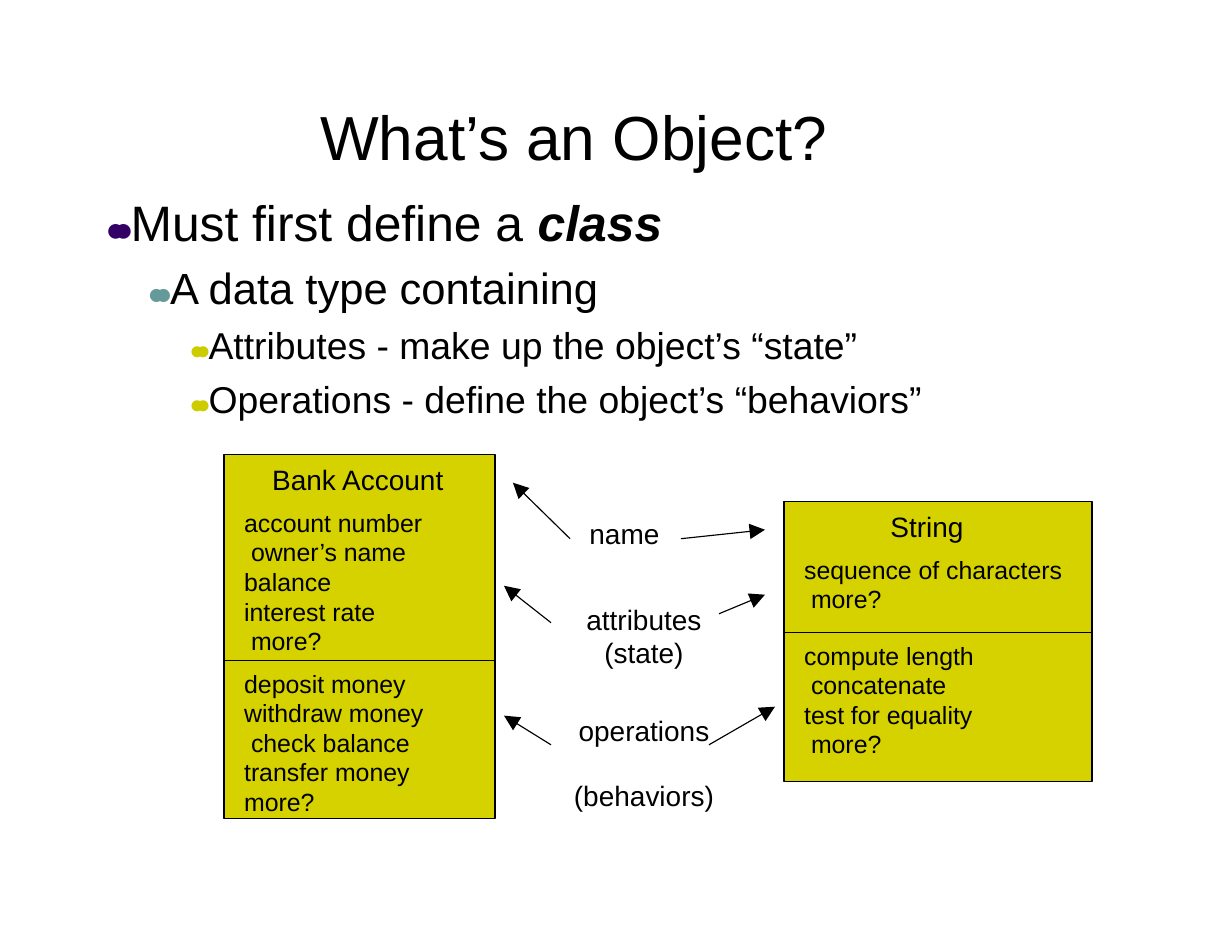
from dataclasses import dataclass

from lxml.etree import SubElement
from pptx import Presentation
from pptx.dml.color import RGBColor
from pptx.enum.shapes import MSO_CONNECTOR as Connector, MSO_SHAPE as Shape
from pptx.enum.text import MSO_ANCHOR as Anchor, PP_ALIGN as Align
from pptx.oxml.ns import qn
from pptx.util import Inches, Pt


@dataclass(frozen=True)
class Theme:
    """Colours, font and type sizes of the slide."""
    font: str = "Arial"
    ink: RGBColor = RGBColor(0, 0, 0)
    box_fill: RGBColor = RGBColor(0xD5, 0xD2, 0x00)
    bullet_colors: tuple = (RGBColor(0x33, 0x00, 0x66), RGBColor(0x66, 0x99, 0x99),
                            RGBColor(0xCC, 0xCC, 0x00))
    bullet_sizes: tuple = (22, 19.5, 16.5)
    bullet_spacing: tuple = (-820, -720, -600)
    body_sizes: tuple = (32, 28, 24)
    title: int = 40
    heading: int = 18
    member: int = 16
    line: float = 0.75


THEME = Theme()


def set_font(font, size, color=THEME.ink):
    """Apply the theme font with a size and colour."""
    font.name = THEME.font
    font.size = Pt(size)
    font.color.rgb = color


def set_indent(paragraph, indent):
    """Set the left indent of a paragraph."""
    properties = paragraph._p.get_or_add_pPr()
    properties.set("marL", str(Inches(indent)))
    properties.set("indent", "0")


def prepare_frame(frame, top_inset=0, wrap=True):
    """Anchor text at the top with no side insets."""
    frame.margin_left = frame.margin_right = frame.margin_bottom = 0
    frame.margin_top = Inches(top_inset)
    frame.vertical_anchor = Anchor.TOP
    frame.word_wrap = wrap
    return frame


def add_text_frame(slide, box, top_inset=0):
    """Add a text box and return its text frame."""
    shape = slide.shapes.add_textbox(*map(Inches, box))
    return prepare_frame(shape.text_frame, top_inset)


def add_line(slide, start, end, arrow=False):
    """Draw a thin line, with an arrowhead at its end if asked."""
    connector = slide.shapes.add_connector(
        Connector.STRAIGHT, *map(Inches, (*start, *end)))
    connector.line.color.rgb = THEME.ink
    connector.line.width = Pt(THEME.line)
    properties = connector._element.spPr
    if arrow:
        SubElement(properties.find(qn("a:ln")), qn("a:tailEnd"),
                   type="triangle", w="lg", len="lg")
    SubElement(properties, qn("a:effectLst"))


def add_title(slide, box, text):
    """Place and format the title placeholder."""
    title = slide.shapes.title
    title.left, title.top, title.width, title.height = map(Inches, box)
    frame = prepare_frame(title.text_frame, wrap=False)
    paragraph = frame.paragraphs[0]
    paragraph.text = text
    paragraph.alignment = Align.LEFT
    set_font(paragraph.font, THEME.title)


def add_outline(slide, box, items):
    """Write the outline with its double-dot markers."""
    frame = add_text_frame(slide, box, top_inset=0.1)
    for index, (level, text, emphasis) in enumerate(items):
        paragraph = frame.paragraphs[0] if index == 0 else frame.add_paragraph()
        set_indent(paragraph, 0.24 + 0.375 * level)
        if index:
            paragraph.space_before = Pt(6)
        marker = paragraph.add_run()
        marker.text = "●● "
        set_font(marker.font, THEME.bullet_sizes[level], THEME.bullet_colors[level])
        marker._r.get_or_add_rPr().set("spc", str(THEME.bullet_spacing[level]))
        for part, strong in ((text, False), (emphasis, True)):
            if part:
                run = paragraph.add_run()
                run.text = part
                set_font(run.font, THEME.body_sizes[level])
                run.font.bold = run.font.italic = strong


def write_members(paragraph, members):
    """Write class members on lines of one paragraph."""
    paragraph.text = "\v".join(members)
    paragraph.alignment = Align.LEFT
    paragraph.line_spacing = Pt(19)
    set_indent(paragraph, 0.18)
    set_font(paragraph.font, THEME.member)


def add_class_box(slide, box, divider, name, name_indent, attributes, operations):
    """Draw a class with its name, attributes and operations."""
    left, top, width, height = box
    shape = slide.shapes.add_shape(Shape.RECTANGLE, *map(Inches, box))
    shape.shadow.inherit = False
    shape.fill.solid()
    shape.fill.fore_color.rgb = THEME.box_fill
    shape.line.color.rgb = THEME.ink
    shape.line.width = Pt(THEME.line)

    frame = prepare_frame(shape.text_frame, top_inset=0.07)
    heading = frame.paragraphs[0]
    heading.text = name
    heading.alignment = Align.LEFT
    set_indent(heading, name_indent)
    set_font(heading.font, THEME.heading)
    members = frame.add_paragraph()
    members.space_before = Pt(7.5)
    write_members(members, attributes)

    middle = top + divider
    add_line(slide, (left, middle), (left + width, middle))
    lower = add_text_frame(slide, (left, middle, width, height - divider), 0.07)
    write_members(lower.paragraphs[0], operations)


def add_label(slide, box, lines, gap=0):
    """Write a centred label with an optional gap between its lines."""
    frame = add_text_frame(slide, box)
    for index, line in enumerate(lines):
        paragraph = frame.paragraphs[0] if index == 0 else frame.add_paragraph()
        paragraph.text = line
        paragraph.alignment = Align.CENTER
        paragraph.line_spacing = Pt(21)
        if index:
            paragraph.space_before = Pt(gap)
        set_font(paragraph.font, THEME.heading)


def main():
    """Build the slide and save it."""
    presentation = Presentation()
    presentation.slide_width = Inches(11)
    presentation.slide_height = Inches(8.5)
    slide = presentation.slides.add_slide(presentation.slide_layouts[5])

    add_title(slide, (2.86, 0.88, 4.56, 0.67), "What’s an Object?")
    add_outline(slide, (0.7, 1.61, 9.61, 2.3), [
        (0, "Must first define a ", "class"),
        (1, "A data type containing", ""),
        (2, "Attributes - make up the object’s “state”", ""),
        (2, "Operations - define the object’s “behaviors”", ""),
    ])
    add_class_box(
        slide, (2, 4.06, 2.42, 3.25), 1.84, "Bank Account", 0.43,
        ["account number", " owner’s name", "balance", "interest rate", " more?"],
        ["deposit money", "withdraw money", " check balance", "transfer money", "more?"])
    add_class_box(
        slide, (7, 4.48, 2.75, 2.5), 1.17, "String", 0.95,
        ["sequence of characters", " more?"],
        ["compute length", " concatenate", "test for equality", " more?"])

    add_label(slide, (5.25, 4.62, 0.65, 0.31), ["name"])
    add_label(slide, (5.15, 5.39, 1.2, 0.59), ["attributes", "(state)"])
    add_label(slide, (5.05, 6.38, 1.4, 0.88), ["operations", "(behaviors)"], gap=21)

    arrows = [
        ((5.09, 4.81), (4.58, 4.31)), ((6.08, 4.81), (6.83, 4.73)),
        ((4.92, 5.56), (4.5, 5.23)), ((6.42, 5.48), (6.83, 5.31)),
        ((4.92, 6.65), (4.5, 6.39)), ((6.33, 6.65), (6.92, 6.31)),
    ]
    for start, end in arrows:
        add_line(slide, start, end, arrow=True)

    presentation.save("out.pptx")


if __name__ == "__main__":
    main()
